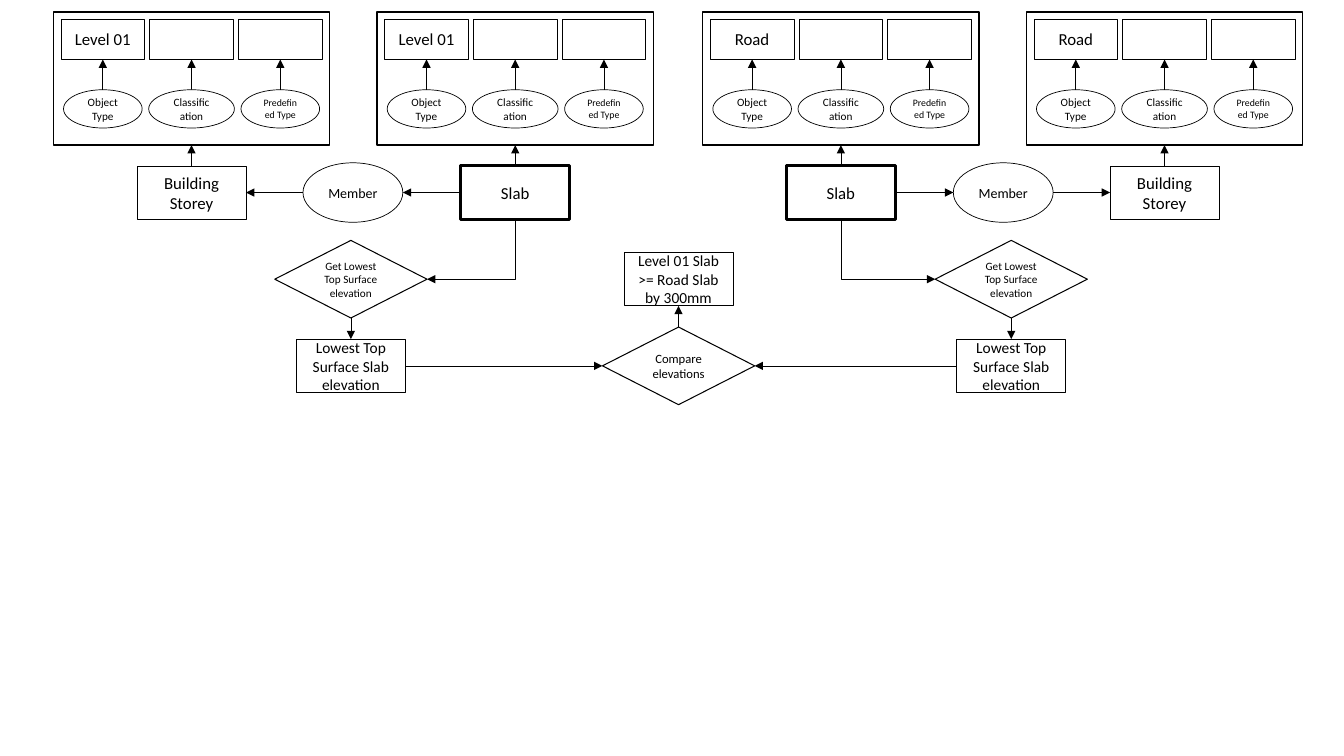
import dataclasses
import typing

import pptx
import pptx.dml.color
import pptx.enum.shapes
import pptx.enum.text
import pptx.oxml.ns
import pptx.oxml.xmlchemy
import pptx.util

Inches = pptx.util.Inches
Kind = pptx.enum.shapes.MSO_SHAPE
Wire = pptx.enum.shapes.MSO_CONNECTOR
TOP, LEFT, BOTTOM, RIGHT = range(4)


# Colours, font and sizes
@dataclasses.dataclass(frozen=True)
class Theme:
    ink: pptx.dml.color.RGBColor = pptx.dml.color.RGBColor(0, 0, 0)
    paper: pptx.dml.color.RGBColor = pptx.dml.color.RGBColor(255, 255, 255)
    font: str = "Calibri"
    large: float = 12
    result: float = 11
    member: float = 10
    compare: float = 9
    small: float = 8
    tiny: float = 7
    hair: float = 0.25
    thin: float = 0.5
    edge: float = 0.75
    frame: float = 1
    bold: float = 2.25


THEME = Theme()


# One kind of node: its outline, size and type size
@dataclasses.dataclass(frozen=True)
class Style:
    kind: Kind
    width: float
    height: float
    size: float
    line: float = THEME.thin
    filled: bool = True


@dataclasses.dataclass(frozen=True)
class Field:
    text: str
    style: Style


@dataclasses.dataclass(frozen=True)
class Side:
    level: str
    slab: float
    storey: float
    member: float
    lowest: float
    inner: int
    outer: int


CELL = Style(Kind.RECTANGLE, 0.83, 0.4, THEME.large)
PANEL = Style(Kind.RECTANGLE, 2.74, 1.32, THEME.large, THEME.frame, False)
SLAB = Style(Kind.RECTANGLE, 1.08, 0.53, THEME.large, THEME.bold)
STOREY = dataclasses.replace(SLAB, line=THEME.hair)
RESULT = dataclasses.replace(SLAB, size=THEME.result, line=THEME.thin)
MEMBER = Style(Kind.OVAL, 0.99, 0.59, THEME.member, filled=False)
LOWEST = Style(Kind.DIAMOND, 1.51, 0.77, THEME.small, THEME.edge)
COMPARE = dataclasses.replace(LOWEST, size=THEME.compare)
OVAL = Style(Kind.OVAL, 0.78, 0.38, THEME.small)

FIELDS = (
    Field("Object Type", OVAL),
    Field("Classification", dataclasses.replace(OVAL, width=0.85)),
    Field("Predefined Type", dataclasses.replace(OVAL, size=THEME.tiny)),
)
STEP = 0.88
SIDES = (
    Side("Level 01", 5.11, 1.9, 3.5, 3.48, LEFT, RIGHT),
    Side("Road", 8.34, 11.55, 9.95, 10.03, RIGHT, LEFT),
)
# Centre heights of the rows
CELLS, PANELS, OVALS, SLABS, CHECKS, RESULTS = 0.39, 0.78, 1.08, 1.91, 2.77, 3.63


def node(shapes: typing.Any, style: Style, x: float, y: float, text: str = "") -> typing.Any:
    """Draw a node centred on x, y."""
    shape = shapes.add_shape(
        style.kind,
        Inches(x - style.width / 2), Inches(y - style.height / 2),
        Inches(style.width), Inches(style.height),
    )
    shape.shadow.inherit = False
    if style.filled:
        shape.fill.solid()
        shape.fill.fore_color.rgb = THEME.paper
    else:
        shape.fill.background()
    shape.line.color.rgb = THEME.ink
    shape.line.width = pptx.util.Pt(style.line)
    if text:
        frame = shape.text_frame
        frame.text = text
        frame.word_wrap = True
        frame.vertical_anchor = pptx.enum.text.MSO_ANCHOR.MIDDLE
        para = frame.paragraphs[0]
        para.alignment = pptx.enum.text.PP_ALIGN.CENTER
        font = para.runs[0].font
        font.name = THEME.font
        font.size = pptx.util.Pt(style.size)
        font.color.rgb = THEME.ink
    return shape


def point(shape: typing.Any, side: int) -> tuple[int, int]:
    """Find the middle of one side."""
    across = {LEFT: 0, RIGHT: shape.width}.get(side, shape.width // 2)
    down = {TOP: 0, BOTTOM: shape.height}.get(side, shape.height // 2)
    return shape.left + across, shape.top + down


def link(shapes: typing.Any, start: typing.Any, out: int, end: typing.Any, into: int,
         bent: bool = False) -> None:
    """Draw an arrow; a bent one is laid from its tip back to its start."""
    ends = [(start, out), (end, into)]
    if bent:
        ends.reverse()
    (first, one), (last, two) = ends
    wire = shapes.add_connector(
        Wire.ELBOW if bent else Wire.STRAIGHT, *point(first, one), *point(last, two)
    )
    # Only the top site of an oval shares its number with a rectangle
    if first.auto_shape_type != Kind.OVAL or one == TOP:
        wire.begin_connect(first, one)
    if last.auto_shape_type != Kind.OVAL or two == TOP:
        wire.end_connect(last, two)
    wire.line.color.rgb = THEME.ink
    wire.line.width = pptx.util.Pt(THEME.thin)
    # Arrowhead, single bend and no shadow
    props = wire.element.spPr
    tip = pptx.oxml.xmlchemy.OxmlElement("a:headEnd" if bent else "a:tailEnd")
    tip.set("type", "triangle")
    props.find(pptx.oxml.ns.qn("a:ln")).append(tip)
    if bent:
        props.find(pptx.oxml.ns.qn("a:prstGeom")).set("prst", "bentConnector2")
    props.append(pptx.oxml.xmlchemy.OxmlElement("a:effectLst"))


def panel(shapes: typing.Any, x: float, level: str) -> typing.Any:
    """Draw a group of three properties and return its frame."""
    group = shapes.add_group_shape().shapes
    for i, field in enumerate(FIELDS):
        mid = x + (i - 1) * STEP
        oval = node(group, field.style, mid, OVALS, field.text)
        cell = node(group, CELL, mid, CELLS, level if i == 0 else "")
        link(group, oval, TOP, cell, BOTTOM)
    return node(group, PANEL, x, PANELS)


def branch(shapes: typing.Any, side: Side) -> typing.Any:
    """Draw one side of the check and return its result."""
    slab = node(shapes, SLAB, side.slab, SLABS, "Slab")
    storey = node(shapes, STOREY, side.storey, SLABS, "Building Storey")
    for box, x in ((slab, side.slab), (storey, side.storey)):
        link(shapes, box, TOP, panel(shapes, x, side.level), BOTTOM)
    member = node(shapes, MEMBER, side.member, SLABS, "Member")
    link(shapes, slab, side.inner, member, side.outer)
    link(shapes, member, side.inner, storey, side.outer)
    lowest = node(shapes, LOWEST, side.lowest, CHECKS, "Get Lowest Top Surface elevation")
    result = node(shapes, RESULT, side.lowest, RESULTS, "Lowest Top Surface Slab elevation")
    link(shapes, slab, BOTTOM, lowest, side.outer, bent=True)
    link(shapes, lowest, BOTTOM, result, TOP)
    return result


def main() -> None:
    deck = pptx.Presentation()
    deck.slide_width, deck.slide_height = Inches(13.33), Inches(7.5)
    shapes = deck.slides.add_slide(deck.slide_layouts[6]).shapes

    # Comparison in the middle, fed from both sides
    compare = node(shapes, COMPARE, 6.73, RESULTS, "Compare elevations")
    verdict = node(shapes, RESULT, 6.73, CHECKS, "Level 01 Slab >= Road Slab by 300mm")
    link(shapes, compare, TOP, verdict, BOTTOM)
    for side in SIDES:
        link(shapes, branch(shapes, side), side.outer, compare, side.inner)
    deck.save("out.pptx")


if __name__ == "__main__":
    main()
